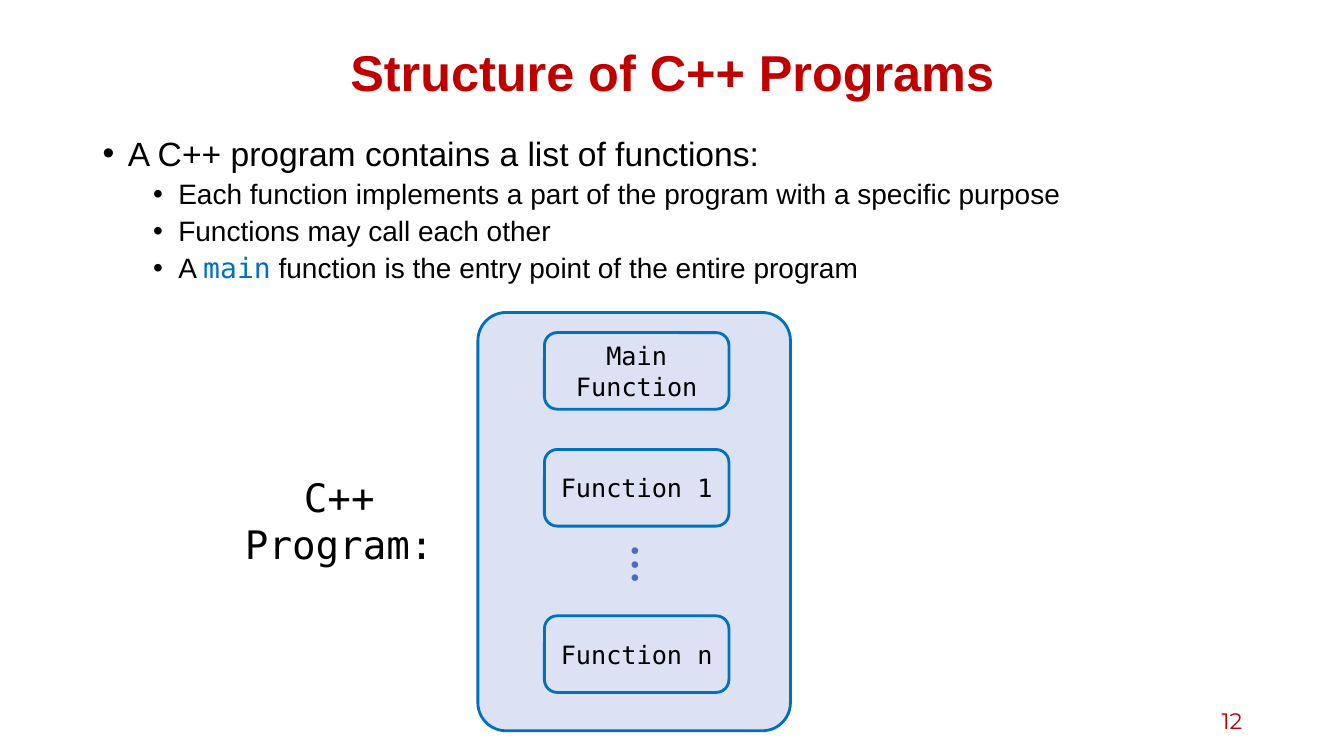
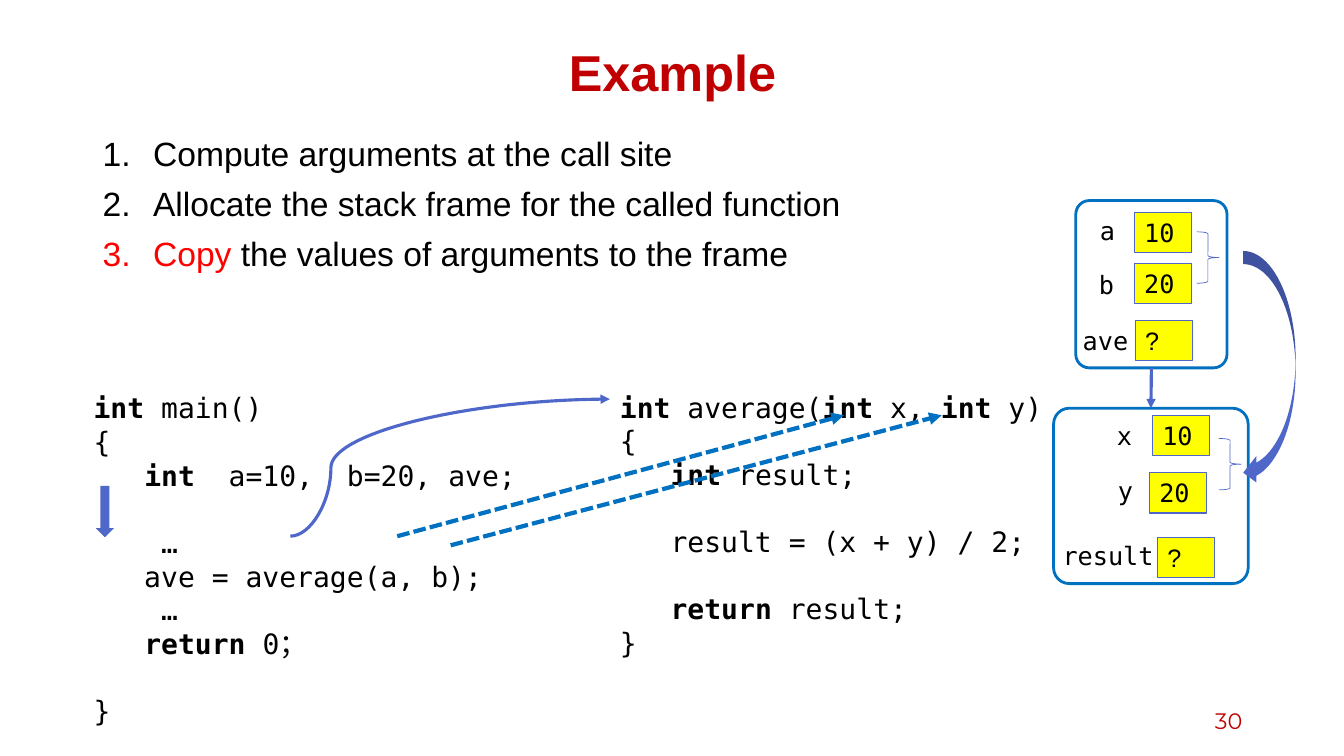
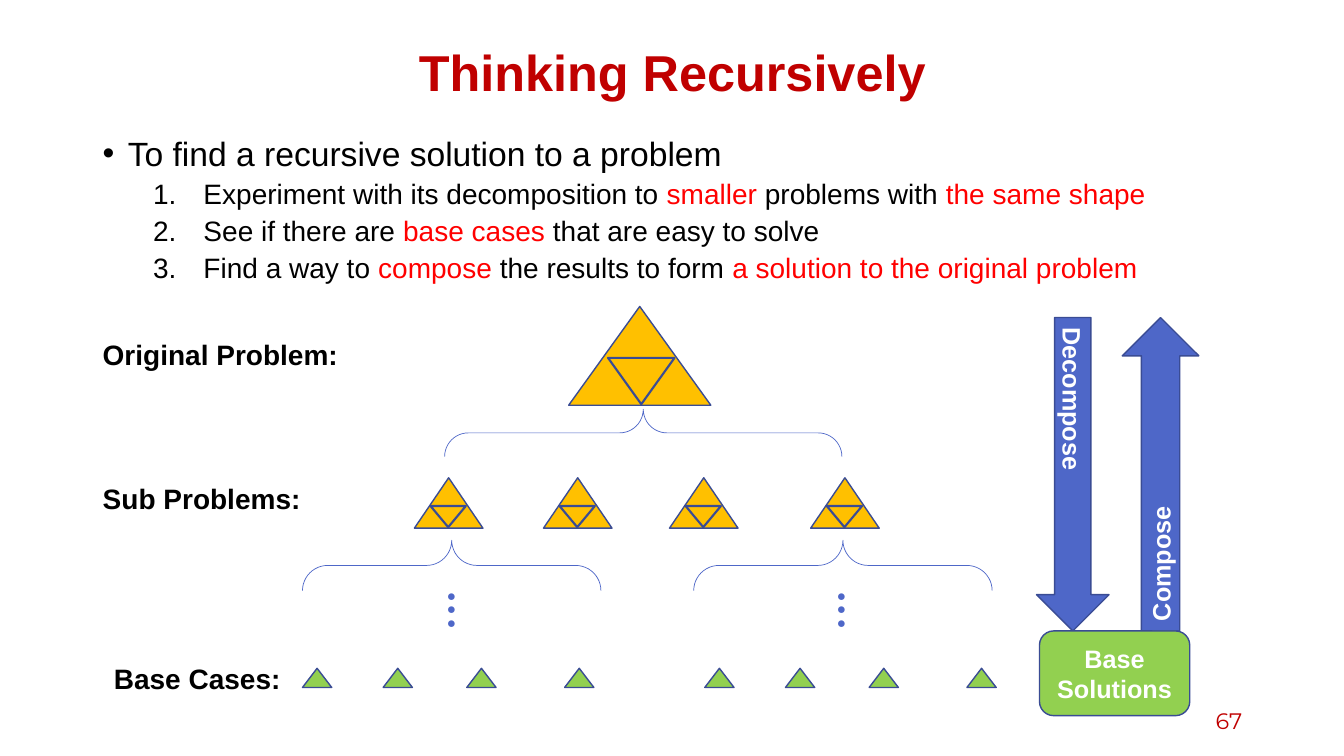
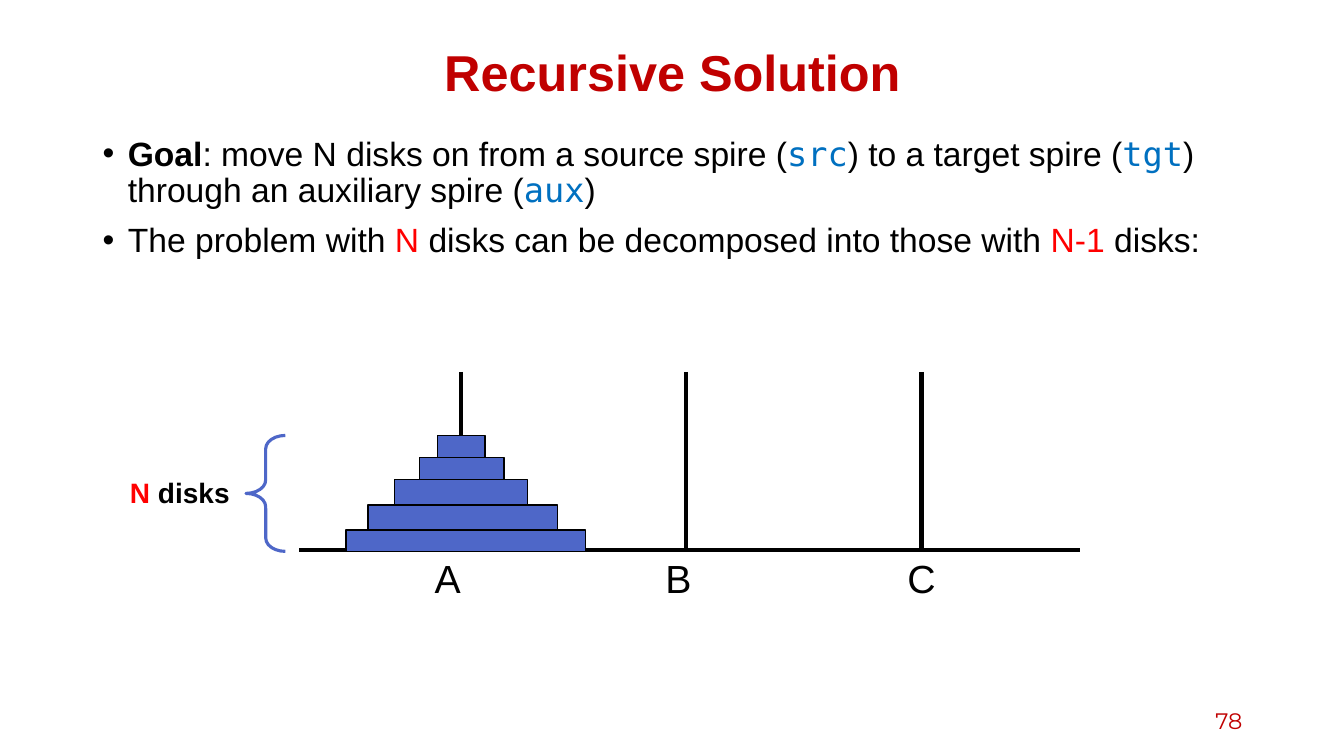
from lxml import etree
from pptx import Presentation
from pptx.dml.color import RGBColor
from pptx.enum.dml import MSO_LINE
from pptx.enum.shapes import MSO_CONNECTOR, MSO_SHAPE
from pptx.enum.text import MSO_ANCHOR, PP_ALIGN
from pptx.oxml.ns import qn
from pptx.util import Emu, Pt

PX = 9144  # 100 px to the inch
LEFT, CENTER, RIGHT = PP_ALIGN.LEFT, PP_ALIGN.CENTER, PP_ALIGN.RIGHT
TOP, MIDDLE = MSO_ANCHOR.TOP, MSO_ANCHOR.MIDDLE
RECT, ROUNDED = MSO_SHAPE.RECTANGLE, MSO_SHAPE.ROUNDED_RECTANGLE
TRIANGLE, DOWN_ARROW = MSO_SHAPE.ISOSCELES_TRIANGLE, MSO_SHAPE.DOWN_ARROW
LEFT_BRACE, RIGHT_BRACE = MSO_SHAPE.LEFT_BRACE, MSO_SHAPE.RIGHT_BRACE
CURVED_ARROW = MSO_SHAPE.CURVED_LEFT_ARROW
STRAIGHT, CURVED = MSO_CONNECTOR.STRAIGHT, MSO_CONNECTOR.CURVE
DASHED = MSO_LINE.SQUARE_DOT
TOP_SIDE, BOTTOM_SIDE = 0, 2

SANS, MONO, NUMBER_FONT = "Arial", "DejaVu Sans Mono", "Montserrat"
COLORS = {
    "title": "C00000", "black": "000000", "white": "FFFFFF", "red": "FF0000",
    "blue": "0070C0", "indigo": "4E67C8", "outline": "3A4C94", "panel": "DCE1F4",
    "yellow": "FFFF00", "gold": "FFC000", "green": "92D050",
}
TITLE_BOX = (92, 40, 1150, 70)
BODY_BOX = (92, 131, 1150, 551)
NUMBER_BOX = (942, 695, 300, 40)
# Level, left indent, hanging indent, size, space before, numbered
LIST_STYLES = {
    "bullet": (0, 25, 25, 24, 10, False),
    "step": (0, 50, 50, 24, 10, True),
    "sub_bullet": (1, 75, 25, 20, 5, False),
    "sub_step": (1, 100, 50, 20, 5, True),
}
CENTERED = {"align": CENTER, "anchor": MIDDLE}
WHITE_LABEL = {"tint": "white", "bold": True, **CENTERED}
INT, RETURN = ("int", "bold"), ("return", "bold")

MAIN_CODE = [
    [INT, " main()"],
    "{",
    ["   ", INT, "  a=10,  b=20, ave;"],
    " ",
    "    …",
    "   ave = average(a, b);",
    "    …",
    ["   ", RETURN, " 0；"],
    " ",
    "}",
]
AVERAGE_CODE = [
    [INT, " average(", INT, " x, ", INT, " y)"],
    "{",
    ["   ", INT, " result;"],
    " ",
    "   result = (x + y) / 2;",
    " ",
    ["   ", RETURN, " result;"],
    "}",
]


# Units and text
def px(value):
    return Emu(round(value * PX))


def color(name):
    return RGBColor.from_string(COLORS[name])


def set_font(font, size, name=SANS, tint="black", bold=False):
    font.size, font.name, font.bold = Pt(size), name, bold
    font.color.rgb = color(tint)


def add_runs(paragraph, runs):
    """Add runs: plain strings, or (text, "bold" | "red" | "code")."""
    for part in [runs] if isinstance(runs, str) else runs:
        text, style = (part, None) if isinstance(part, str) else part
        run = paragraph.add_run()
        run.text = text
        if style == "bold":
            run.font.bold = True
        elif style == "red":
            run.font.color.rgb = color("red")
        elif style == "code":
            run.font.name = MONO
            run.font.color.rgb = color("blue")


def write(shape, lines, size, align=LEFT, anchor=TOP, **font):
    frame = shape.text_frame
    frame.word_wrap = True
    frame.vertical_anchor = anchor
    for index, runs in enumerate(lines):
        paragraph = frame.add_paragraph() if index else frame.paragraphs[0]
        paragraph.alignment = align
        set_font(paragraph.font, size, **font)
        add_runs(paragraph, runs)


def add_text(slide, box, lines, size, rotation=0, **style):
    label = slide.shapes.add_textbox(*map(px, box))
    label.rotation = rotation
    write(label, lines, size, **style)


# Shapes and lines
def add_figure(slide, kind, box, fill=None, line=None, width=1, rotation=0, adjust=()):
    figure = slide.shapes.add_shape(kind, *map(px, box))
    figure.shadow.inherit = False
    figure.rotation = rotation
    for index, value in enumerate(adjust):
        figure.adjustments[index] = value
    if fill:
        figure.fill.solid()
        figure.fill.fore_color.rgb = color(fill)
    else:
        figure.fill.background()
    if line:
        figure.line.color.rgb = color(line)
        figure.line.width = Pt(width)
    else:
        figure.line.fill.background()
    return figure


def add_line(slide, start, end, tint, width, kind=STRAIGHT, dash=None, arrow=False):
    line = slide.shapes.add_connector(kind, *map(px, start + end))
    line.line.color.rgb = color(tint)
    line.line.width = Pt(width)
    if dash:
        line.line.dash_style = dash
    properties = line._element.spPr
    if arrow:
        etree.SubElement(properties.find(qn("a:ln")), qn("a:tailEnd"), type="triangle")
    etree.SubElement(properties, qn("a:effectLst"))
    return line


def add_dots(slide, left, top):
    add_text(slide, (left, top, 84, 29), ["● ● ●"], 11, rotation=90, tint="indigo")


# Shared parts of every slide
def start_slide(deck, title, number, items):
    slide = deck.slides.add_slide(deck.slide_layouts[5])
    heading = slide.shapes.title
    heading.left, heading.top, heading.width, heading.height = map(px, TITLE_BOX)
    write(heading, [title], 36, tint="title", bold=True, **CENTERED)
    heading.text_frame.paragraphs[0].line_spacing = 0.9
    add_body(slide, items)
    add_text(slide, NUMBER_BOX, [number], 16, name=NUMBER_FONT, tint="title",
             align=RIGHT, anchor=MIDDLE)
    return slide


def add_body(slide, items):
    frame = slide.shapes.add_textbox(*map(px, BODY_BOX)).text_frame
    frame.word_wrap = True
    for index, (style, runs) in enumerate(items):
        level, left, hanging, size, before, numbered = LIST_STYLES[style]
        paragraph = frame.add_paragraph() if index else frame.paragraphs[0]
        paragraph.level = level
        paragraph.line_spacing = 0.9
        paragraph.space_before = Pt(before if index else 0)
        properties = paragraph._p.get_or_add_pPr()
        properties.set("marL", str(px(left)))
        properties.set("indent", str(px(-hanging)))
        etree.SubElement(properties, qn("a:buFont"), typeface=SANS)
        if numbered:
            etree.SubElement(properties, qn("a:buAutoNum"), type="arabicPeriod")
        else:
            etree.SubElement(properties, qn("a:buChar"), char="•")
        set_font(paragraph.font, size)
        add_runs(paragraph, runs)


# Program structure
def add_program(slide, box):
    left, top, _, _ = box
    add_figure(slide, ROUNDED, box, "panel", "blue", 2, adjust=[0.09])
    for name, offset in (("Main Function", 20), ("Function 1", 136), ("Function n", 301)):
        function = add_figure(slide, ROUNDED, (left + 66, top + offset, 183, 76),
                              line="blue", width=2)
        write(function, [name], 18, name=MONO, **CENTERED)
    add_dots(slide, left + 115, top + 250)
    add_text(slide, (left - 275, top + 155, 275, 57), ["C++ Program:"], 28,
             name=MONO, align=CENTER)


def structure_slide(deck):
    slide = start_slide(deck, "Structure of C++ Programs", "12", [
        ("bullet", "A C++ program contains a list of functions:"),
        ("sub_bullet", "Each function implements a part of the program with a specific purpose"),
        ("sub_bullet", "Functions may call each other"),
        ("sub_bullet", ["A ", ("main", "code"),
                        " function is the entry point of the entire program"]),
    ])
    add_program(slide, (474, 310, 310, 415))


# Call example
def add_stack_frame(slide, box, variables, brace):
    """Variables: name, value, offset of the name, offset of the value."""
    left, top, _, _ = box
    outline = add_figure(slide, ROUNDED, box, line="blue", width=2, adjust=[0.09])
    for name, value, (name_x, name_y), (value_x, value_y) in variables:
        cell = add_figure(slide, RECT, (left + value_x, top + value_y, 57, 40),
                          "yellow", "indigo", 0.75)
        write(cell, [value], 18, name=MONO if value.isdigit() else SANS)
        name_width = 20 + 16 * len(name)
        add_text(slide, (left + name_x, top + name_y, name_width, 40), [name], 18, name=MONO)
    brace_x, brace_y = brace
    add_figure(slide, RIGHT_BRACE, (left + brace_x, top + brace_y, 22, 51),
               line="indigo", width=0.5)
    return outline


def add_stack(slide, left, top):
    caller = add_stack_frame(slide, (left + 22, top, 150, 166), [
        ("a", "10", (14, 10), (58, 12)),
        ("b", "20", (13, 63), (58, 62)),
        ("ave", "?", (-3, 119), (59, 119)),
    ], brace=(120, 31))
    called = add_stack_frame(slide, (left, top + 206, 193, 174), [
        ("x", "10", (53, 7), (98, 7)),
        ("y", "20", (54, 62), (95, 64)),
        ("result", "?", (-1, 126), (103, 128)),
    ], brace=(164, 30))
    call = add_line(slide, (left + 97, top + 166), (left + 96, top + 206),
                    "indigo", 2.25, arrow=True)
    call.begin_connect(caller, BOTTOM_SIDE)
    call.end_connect(called, TOP_SIDE)
    add_figure(slide, CURVED_ARROW, (left + 188, top + 50, 52, 233), "indigo")


def add_code(slide, left, top):
    """Both functions side by side, with the arrows between them."""
    add_text(slide, (left, top, 464, 313), MAIN_CODE, 20, name=MONO)
    add_text(slide, (left + 522, top - 1, 464, 279), AVERAGE_CODE, 20, name=MONO)
    # Current step
    add_figure(slide, DOWN_ARROW, (left + 12, top + 99, 18, 51), "indigo")
    # Jump to the called function
    jump = add_line(slide, (left + 205, top + 149), (left + 522, top + 13),
                    "indigo", 2.25, CURVED, arrow=True)
    bends = jump._element.spPr.find(qn("a:prstGeom")).get_or_add_avLst()
    etree.SubElement(bends, qn("a:gd"), name="adj1", fmla="val 12700")
    # Arguments copied to parameters
    for argument_x, argument_y, parameter_x in ((311, 149, 754), (364, 158, 851)):
        add_line(slide, (left + argument_x, top + argument_y),
                 (left + parameter_x, top + 29), "blue", 3, dash=DASHED, arrow=True)


def example_slide(deck):
    slide = start_slide(deck, "Example", "30", [
        ("step", "Compute arguments at the call site"),
        ("step", "Allocate the stack frame for the called function"),
        ("step", [("Copy", "red"), " the values of arguments to the frame"]),
    ])
    add_code(slide, 83, 383)
    add_stack(slide, 1045, 199)


# Recursive decomposition
def add_problem(slide, box, hole):
    """Triangle with an upside-down triangle, placed relative to it."""
    left, top, _, _ = box
    hole_x, hole_y, hole_width, hole_height = hole
    add_figure(slide, TRIANGLE, box, "gold", "outline")
    add_figure(slide, TRIANGLE, (left + hole_x, top + hole_y, hole_width, hole_height),
               "gold", "outline", 1.5, rotation=180)


def add_split(slide, box):
    """Brace opening downwards over the given box."""
    left, top, width, height = box
    unturned = (left + (width - height) / 2, top + (height - width) / 2, height, width)
    add_figure(slide, LEFT_BRACE, unturned, line="indigo", width=0.5, rotation=90,
               adjust=[0.5, 0.5])


def add_problem_tree(slide, left, top):
    for name, x, y in (("Original Problem:", 0, 26), ("Sub Problems:", 0, 169),
                       ("Base Cases:", 11, 347)):
        add_text(slide, (left + x, top + y, 275, 44), [name], 20, bold=True)
    # Original problem and its sub problems
    add_problem(slide, (left + 472, top, 141, 98), hole=(39, 51, 66, 46))
    add_split(slide, (left + 349, top + 102, 394, 47))
    for x in (319, 447, 572, 712):
        add_problem(slide, (left + x, top + 170, 68, 50), hole=(16, 28, 35, 21))
    # Left and right branch down to the base cases
    for split_x, dots_x, cases_x in ((208, 315, 208), (596, 702, 607)):
        add_split(slide, (left + split_x, top + 232, 296, 50))
        add_dots(slide, left + dots_x, top + 301)
        for step in (0, 80, 163, 260):
            add_figure(slide, TRIANGLE, (left + cases_x + step, top + 359, 29, 19),
                       "green", "outline")


def add_directions(slide, left, top):
    length = 311
    for name, x, width, rotation in (("Decompose", 0, 72, 0), ("Compose", 85, 76, 180)):
        arrow = add_figure(slide, DOWN_ARROW, (left + x, top, width, length),
                           "indigo", "outline", rotation=rotation)
        write(arrow, [name], 18, **WHITE_LABEL)
        arrow.text_frame._txBody.bodyPr.set("vert", "eaVert")
    base = add_figure(slide, ROUNDED, (left + 3, top + length, 149, 84), "green", "outline")
    write(base, ["Base Solutions"], 18, **WHITE_LABEL)


def recursion_slide(deck):
    slide = start_slide(deck, "Thinking Recursively", "67", [
        ("bullet", "To find a recursive solution to a problem"),
        ("sub_step", ["Experiment with its decomposition to ", ("smaller", "red"),
                      " problems with ", ("the same shape", "red")]),
        ("sub_step", ["See if there are ", ("base cases ", "red"), "that are easy to solve"]),
        ("sub_step", ["Find a way to ", ("compose", "red"), " the results to form ",
                      ("a solution to the original problem", "red")]),
    ])
    add_problem_tree(slide, 92, 304)
    add_directions(slide, 1028, 315)


# Towers with disks
def add_towers(slide, box):
    left, top, width, height = box
    floor = top + height
    add_line(slide, (left, floor), (left + width, floor), "black", 3)
    for name, spire_x, name_x in (("A", 160, 147), ("B", 383, 376), ("C", 617, 617)):
        add_line(slide, (left + spire_x, top), (left + spire_x, floor), "black", 3)
        add_text(slide, (left + name_x - 30, floor - 1, 60, 57), [name], 28, align=CENTER)
    # Disks, piled from the floor up
    pile_bottom = pile_top = floor + 1
    for x, disk_width, disk_height in ((46, 238, 21), (68, 188, 25), (94, 132, 25),
                                       (119, 84, 22), (137, 47, 22)):
        pile_top -= disk_height
        add_figure(slide, RECT, (left + x, pile_top, disk_width, disk_height),
                   "indigo", "black")
    # Number of disks
    add_figure(slide, LEFT_BRACE, (left - 53, pile_top, 39, pile_bottom - pile_top),
               line="indigo", width=2.25, adjust=[0.34, 0.5])
    add_text(slide, (left - 178, pile_top + 35, 135, 44), [[("N", "red"), " disks"]], 20,
             bold=True)


def solution_slide(deck):
    slide = start_slide(deck, "Recursive Solution", "78", [
        ("bullet", [("Goal", "bold"), ": move N disks on from a source spire (",
                    ("src", "code"), ") to a target spire (", ("tgt", "code"),
                    ") through an auxiliary spire (", ("aux", "code"), ")"]),
        ("bullet", ["The problem with ", ("N", "red"),
                    " disks can be decomposed into those with ", ("N-1", "red"), " disks:"]),
    ])
    add_towers(slide, (297, 369, 774, 177))


def main():
    deck = Presentation()
    deck.slide_width, deck.slide_height = px(1333), px(750)
    for build_slide in (structure_slide, example_slide, recursion_slide, solution_slide):
        build_slide(deck)
    deck.save("out.pptx")


if __name__ == "__main__":
    main()
